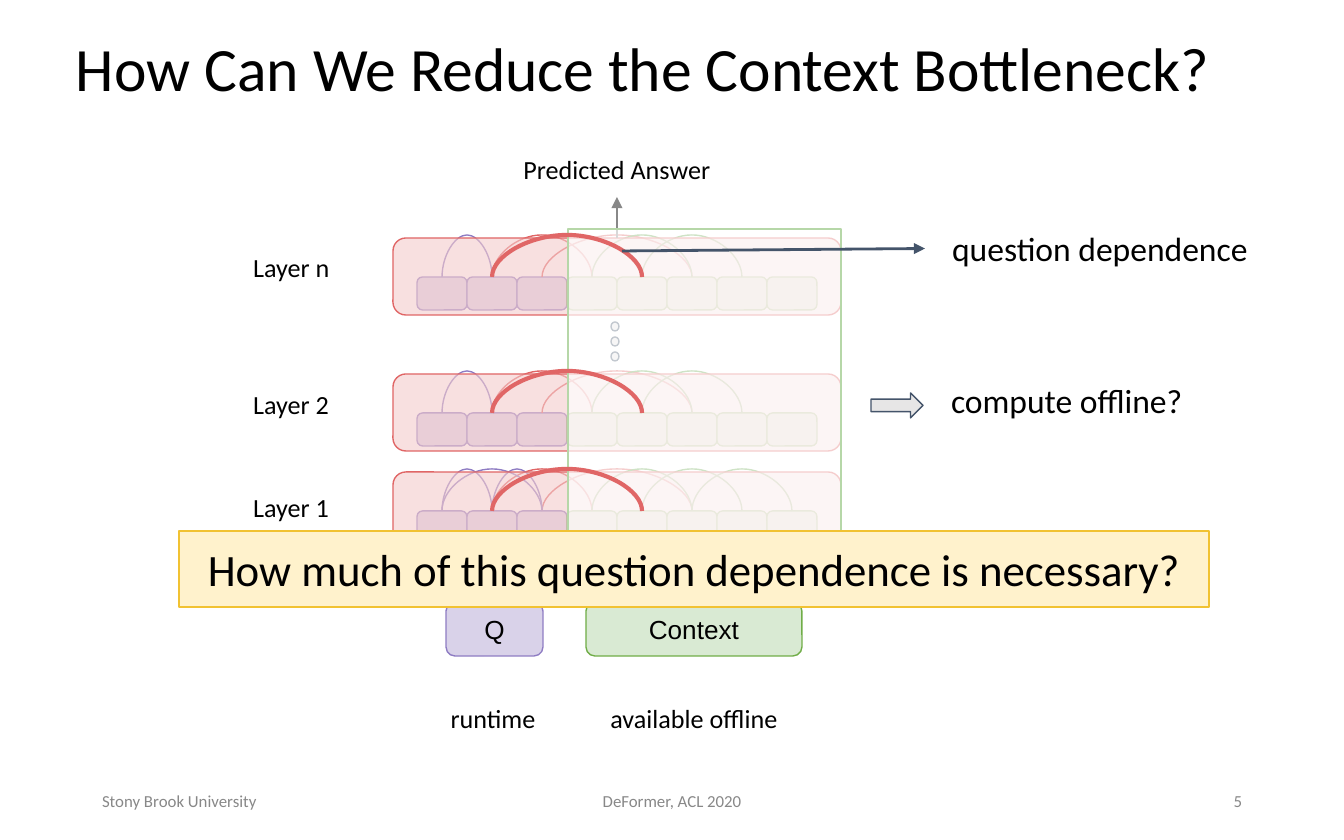
from lxml import etree
from pptx import Presentation
from pptx.dml.color import RGBColor
from pptx.enum.shapes import MSO_CONNECTOR, MSO_SHAPE
from pptx.enum.text import MSO_ANCHOR, PP_ALIGN
from pptx.oxml.ns import qn
from pptx.util import Pt

LEFT, CENTER, RIGHT = PP_ALIGN.LEFT, PP_ALIGN.CENTER, PP_ALIGN.RIGHT
TOP, MIDDLE = MSO_ANCHOR.TOP, MSO_ANCHOR.MIDDLE
RECT, ROUND = MSO_SHAPE.RECTANGLE, MSO_SHAPE.ROUNDED_RECTANGLE
OVAL, BLOCK_ARROW = MSO_SHAPE.OVAL, MSO_SHAPE.RIGHT_ARROW
STRAIGHT, CURVE = MSO_CONNECTOR.STRAIGHT, MSO_CONNECTOR.CURVE

EMU_PER_PX = 914400 / 134.4
PURPLE, RED, GREEN = "8E7CC3", "E06666", "6AA84F"
PURPLE_CELL, GREEN_CELL = ("D9D2E9", PURPLE), ("D9EAD3", "70AD47")
GREY, SLATE, SILVER = "888888", "44546A", "E7E6E6"

TITLE = "How Can We Reduce the Context Bottleneck?"
# Attention arcs: first cell, last cell, colour
SHARED_ARCS = [(0, 1, PURPLE), (2, 5, RED), (1, 3, RED),
               (3, 5, GREEN), (4, 6, GREEN), (1, 4, RED)]
FIRST_ARCS = SHARED_ARCS + [(1, 2, PURPLE), (0, 2, PURPLE), (5, 7, GREEN)]
# Layers: label, label top, panel top, arcs
LAYERS = [("Layer 1", 478, 472, FIRST_ARCS),
          ("Layer 2", 375, 374, SHARED_ARCS),
          ("Layer n", 238, 238, SHARED_ARCS)]
CELLS = [PURPLE_CELL] * 3 + [GREEN_CELL] * 5
CELL_LEFT, CELL_W, CELL_H, CELL_DROP = 417, 50, 33, 39
ARC_RISE = 39
ARC_BEND = 396.875  # rise of an arc, as a multiple of its tiny thickness
INPUTS = [("Q", (446, 602, 97, 54), PURPLE_CELL),
          ("Context", (586, 602, 216, 54), GREEN_CELL)]
# Captions: text, box, size, alignment, anchor
CAPTIONS = [("compute offline?", (938, 367, 282, 77), 18, LEFT, TOP),
            ("available offline", (586, 689, 216, 58), 14, CENTER, MIDDLE),
            ("runtime", (418, 689, 150, 58), 14, CENTER, MIDDLE)]
FOOTERS = [("Stony Brook University", 93, 302, LEFT),
           ("DeFormer, ACL 2020", 445, 454, CENTER),
           ("5", 949, 302, RIGHT)]

prs = Presentation()


def px(*values):
    return [round(v * EMU_PER_PX) for v in values]


def rgb(color):
    return RGBColor.from_string(color)


prs.slide_width, prs.slide_height = px(1344, 840)
slide = prs.slides.add_slide(prs.slide_layouts[5])
shapes = slide.shapes


def set_text(sp, text, size, align=CENTER, anchor=MIDDLE, color="000000",
             font="Calibri", inset=(13, 13)):
    tf = sp.text_frame
    tf.text = text
    tf.word_wrap = True
    tf.vertical_anchor = anchor
    tf.margin_left = tf.margin_right = px(inset[0])[0]
    tf.margin_top = tf.margin_bottom = px(inset[1])[0]
    p = tf.paragraphs[0]
    p.alignment = align
    p.font.size = Pt(size)
    p.font.name = font
    p.font.color.rgb = rgb(color)


def add_text(text, box, size, *args, **kwargs):
    sp = shapes.add_textbox(*px(*box))
    set_text(sp, text, size, *args, **kwargs)
    return sp


def add_box(kind, box, fill, line, width=0.75, alpha=None):
    sp = shapes.add_shape(kind, *px(*box))
    sp.shadow.inherit = False
    sp.fill.solid()
    sp.fill.fore_color.rgb = rgb(fill)
    sp.line.color.rgb = rgb(line)
    sp.line.width = Pt(width)
    if alpha:
        clr = sp.fill._xPr.find(qn("a:solidFill"))[0]
        etree.SubElement(clr, qn("a:alpha"), val=str(alpha * 1000))
    return sp


def add_line(kind, ends, color, width):
    cn = shapes.add_connector(kind, *px(*ends))
    cn.line.color.rgb = rgb(color)
    cn.line.width = Pt(width)
    etree.SubElement(cn._element.spPr, qn("a:effectLst"))
    return cn


def add_arrow(ends, color):
    cn = add_line(STRAIGHT, ends, color, 1.5)
    etree.SubElement(cn.line._get_or_add_ln(), qn("a:tailEnd"), type="triangle")
    return cn


def add_arc(first, last, y, color, width=0.75, rise=ARC_RISE):
    """Curved connector turned upright, bulging above two cell centres."""
    x1, x2 = (CELL_LEFT + CELL_W * (i + 0.5) for i in (first, last))
    mid, half, thick = (x1 + x2) / 2, (x2 - x1) / 2, rise / ARC_BEND
    cn = add_line(CURVE, (mid - thick / 2, y - half, mid + thick / 2, y + half),
                  color, width)
    spPr = cn._element.spPr
    xfrm = spPr.find(qn("a:xfrm"))
    xfrm.set("rot", "16200000")
    xfrm.set("flipH", "1")
    av = spPr.find(qn("a:prstGeom")).find(qn("a:avLst"))
    etree.SubElement(av, qn("a:gd"), name="adj1",
                     fmla=f"val {round(-ARC_BEND * 100000)}")


title = shapes.title
title.left, title.top, title.width, title.height = px(67, 16, 1210, 112)
set_text(title, TITLE, 33, LEFT, inset=(9, 5))
title.text_frame.paragraphs[0].line_spacing = 0.9

for text, x, w, align in FOOTERS:
    add_text(text, (x, 778, w, 45), 9, align, color=GREY, inset=(9, 5))

for i in range(3):
    add_box(OVAL, (611, 322 + 15 * i, 8, 9), SILVER, SLATE)

for text, box, colors in INPUTS:
    set_text(add_box(ROUND, box, *colors), text, 14, font="Arial")

for label, label_top, top, arcs in LAYERS:
    add_text(label, (240, label_top, 117, 62), 14, LEFT, TOP)
    for i, colors in enumerate(CELLS):
        add_box(ROUND, (CELL_LEFT + CELL_W * i, top + CELL_DROP, CELL_W, CELL_H),
                *colors)
    for first, last, color in arcs:
        add_arc(first, last, top + CELL_DROP, color)
    panel = add_box(ROUND, (393, top, 448, 77), "F4CCCC", RED, alpha=60)

answer = add_text("Predicted Answer", (509, 142, 216, 55), 14)
up = add_arrow((617, 238, 617, 197), GREY)
up.begin_connect(panel, 0)
up.end_connect(answer, 2)

add_box(RECT, (568, 229, 273, 333), "FFFFFF", "B6D7A8", 1.5, alpha=68)
banner = add_box(RECT, (179, 531, 1030, 76), "FFF2CC", "F1C232")
set_text(banner, "How much of this question dependence is necessary?", 24)
add_box(BLOCK_ARROW, (871, 393, 52, 25), SILVER, SLATE)

for _, _, top, _ in LAYERS:
    add_arc(1, 4, top + CELL_DROP, RED, 2.25, rise=35)

for caption in CAPTIONS:
    add_text(*caption)

dependence = add_text("question dependence", (925, 210, 350, 77), 18)
pointer = add_arrow((622, 251, 925, 248), SLATE)
pointer.end_connect(dependence, 1)

prs.save("out.pptx")
